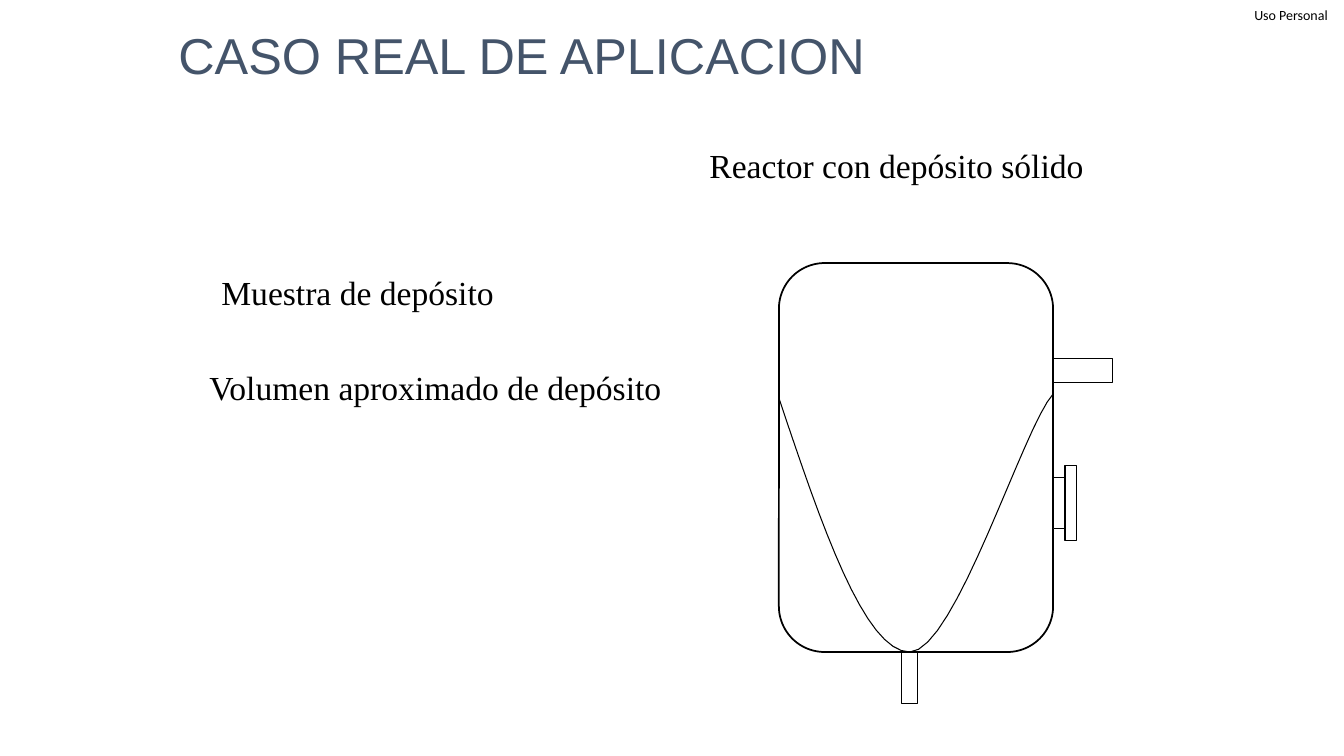
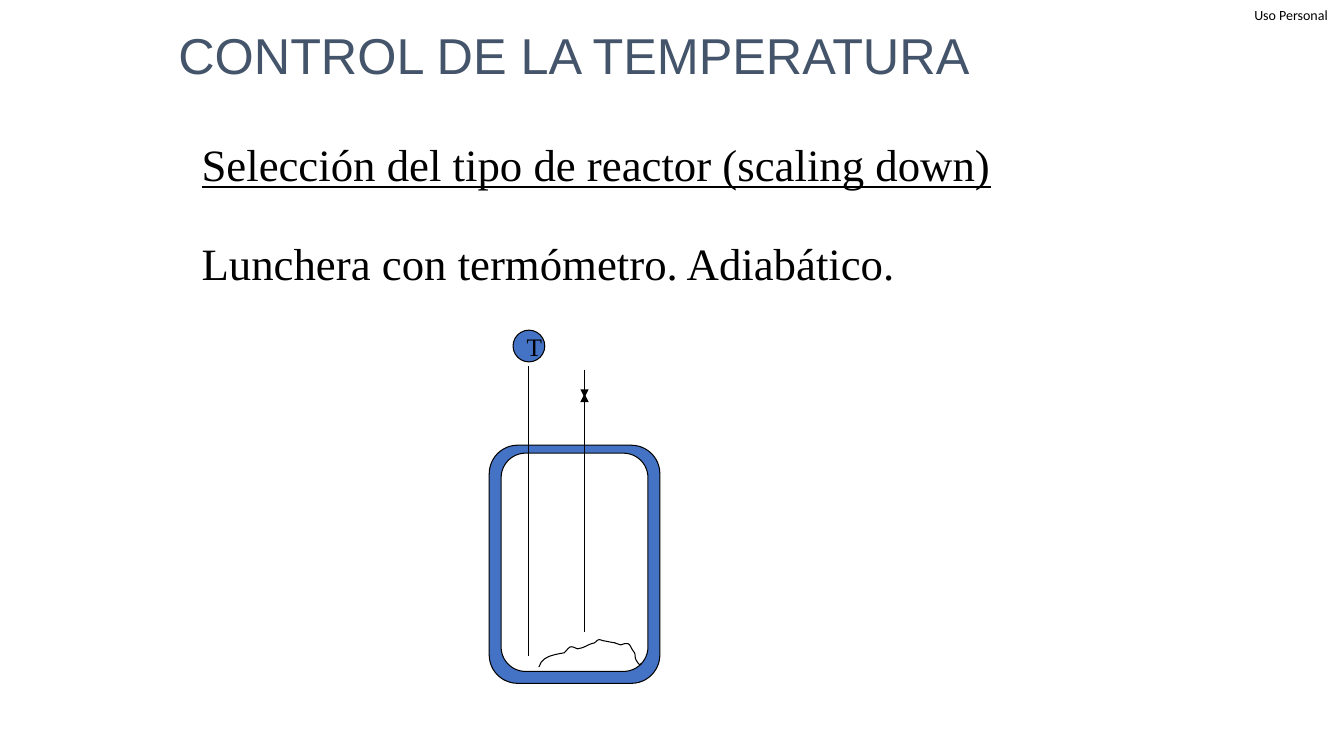
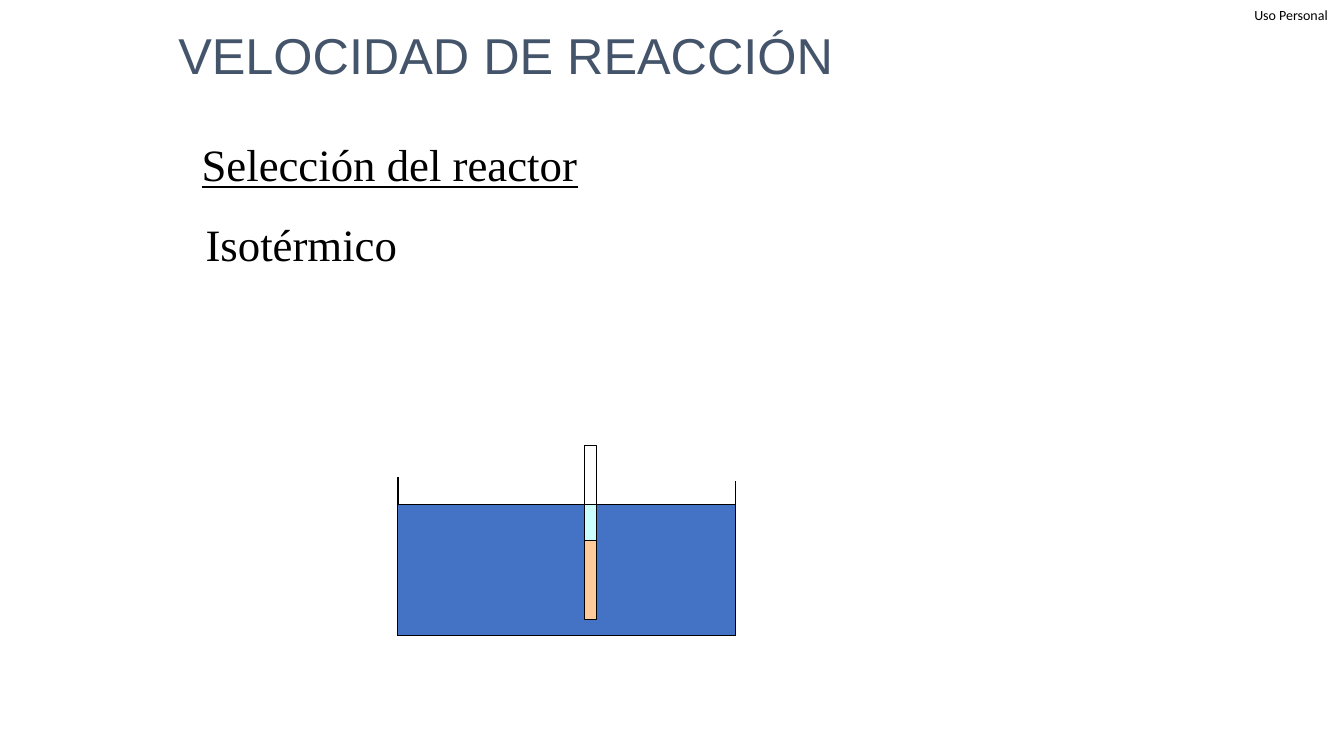
from dataclasses import dataclass

from lxml.etree import SubElement
from pptx import Presentation
from pptx.dml.color import RGBColor
from pptx.enum.shapes import MSO_CONNECTOR, MSO_SHAPE
from pptx.enum.text import MSO_ANCHOR, MSO_AUTO_SIZE, PP_ALIGN
from pptx.oxml.ns import qn
from pptx.util import Cm, Pt


@dataclass(frozen=True)
class Theme:
    title_color: str = "44546A"
    ink: str = "000000"
    paper: str = "FFFFFF"
    blue: str = "4472C4"
    sample: str = "FFCC99"
    liquid: str = "CCFFFF"
    title_font: str = "Arial"
    body_font: str = "Times New Roman"
    tag_font: str = "Calibri"
    title_size: int = 36
    heading_size: int = 32
    label_size: int = 24
    symbol_size: int = 18
    tag_size: int = 10
    line: float = 0.75
    wall: float = 1.25


T = Theme()
RECT = MSO_SHAPE.RECTANGLE
VESSEL = MSO_SHAPE.FLOWCHART_ALTERNATE_PROCESS


# Basic parts, all lengths in centimetres
def set_font(p, name, size, color=T.ink, underline=None):
    p.font.name = name
    p.font.size = Pt(size)
    p.font.color.rgb = RGBColor.from_string(color)
    p.font.underline = underline


def set_line(sp, width=T.line):
    sp.line.color.rgb = RGBColor.from_string(T.ink)
    sp.line.width = Pt(width)


def add_text(slide, x, y, w, h, text, size, font=T.body_font, underline=None):
    sp = slide.shapes.add_textbox(Cm(x), Cm(y), Cm(w), Cm(h))
    tf = sp.text_frame
    tf.word_wrap = True
    p = tf.paragraphs[0]
    p.text = text
    set_font(p, font, size, underline=underline)
    return sp


def add_box(slide, kind, x, y, w, h, fill=T.paper, width=T.line):
    sp = slide.shapes.add_shape(kind, Cm(x), Cm(y), Cm(w), Cm(h))
    sp.shadow.inherit = False
    sp.fill.solid()
    sp.fill.fore_color.rgb = RGBColor.from_string(fill)
    set_line(sp, width)
    return sp


def add_line(slide, x1, y1, x2, y2, arrow=False):
    cxn = slide.shapes.add_connector(
        MSO_CONNECTOR.STRAIGHT, Cm(x1), Cm(y1), Cm(x2), Cm(y2))
    set_line(cxn)
    if arrow:
        SubElement(cxn.line._get_or_add_ln(), qn("a:tailEnd"), type="triangle")
    SubElement(cxn._element.spPr, qn("a:effectLst"))


def add_curve(slide, x, y, start, segments, steps=16):
    """Draw cubic Bezier segments, with points relative to (x, y)."""
    points, p0 = [start], start
    for p1, p2, p3 in segments:
        for i in range(1, steps + 1):
            t = i / steps
            u = 1 - t
            points.append(tuple(
                u**3 * a + 3 * u * u * t * b + 3 * u * t * t * c + t**3 * d
                for a, b, c, d in zip(p0, p1, p2, p3)))
        p0 = p3
    places = [(Cm(x + px), Cm(y + py)) for px, py in points]
    builder = slide.shapes.build_freeform(*places[0])
    builder.add_line_segments(places[1:], close=False)
    sp = builder.convert_to_shape()
    sp.shadow.inherit = False
    sp.fill.background()
    set_line(sp)


# Shared frame
def setup_layout(prs):
    layout = prs.slide_layouts[5]
    title = layout.placeholders[0]
    title.left, title.top, title.width, title.height = (
        Cm(4.24), Cm(0), Cm(25.4), Cm(2.72))
    return layout


def add_master_tag(prs, slide):
    sp = add_text(slide, 31.22, 0, 2.64, 0.74, "Uso Personal",
                  T.tag_size, T.tag_font)
    tf = sp.text_frame
    tf.word_wrap = False
    tf.vertical_anchor = MSO_ANCHOR.MIDDLE
    tf.margin_left = tf.margin_top = tf.margin_bottom = 0
    tf.margin_right = Cm(0.4)
    tf.paragraphs[0].alignment = PP_ALIGN.RIGHT
    sp._element.nvSpPr.cNvPr.set("id", "20")
    prs.slide_master.shapes._spTree.append(sp._element)


def add_slide(prs, layout, title):
    slide = prs.slides.add_slide(layout)
    tf = slide.shapes.title.text_frame
    tf.auto_size = MSO_AUTO_SIZE.NONE
    tf.vertical_anchor = MSO_ANCHOR.MIDDLE
    p = tf.paragraphs[0]
    p.text = title
    p.alignment = PP_ALIGN.LEFT
    set_font(p, T.title_font, T.title_size, T.title_color)
    return slide


def add_heading(slide, text):
    add_text(slide, 4.83, 3.33, 20.8, 1.6, text, T.heading_size, underline=True)


# Drawings
def draw_reactor(slide, x, y, w, h):
    add_box(slide, VESSEL, x, y, w, h, width=T.wall)
    right, bottom = x + w, y + h
    # Side nozzle and drain
    add_box(slide, RECT, right, y + 2.4, 1.5, 0.6)
    add_box(slide, RECT, x + 3.1, bottom, 0.4, 1.3)
    # Solid deposit
    add_curve(slide, x, y, (0, 3.4), [
        ((1.07, 6.6), (2.16, h), (3.3, h)),
        ((4.44, 9.78), (6.17, 4.1), (w, 3.3)),
    ])
    # Manhole: neck and flange
    add_box(slide, RECT, right, y + 5.4, 0.3, 1.3)
    add_box(slide, RECT, right + 0.3, y + 5.1, 0.3, 1.9)


def draw_flask(slide, x, y, w, h):
    # Jacket and inner vessel
    add_box(slide, VESSEL, x, y, w, h, T.blue)
    add_box(slide, VESSEL, x + 0.3, y + 0.2, w - 0.6, h - 0.5)
    # Probe and feed line with valve
    probe, feed = x + 1, x + 2.4
    add_line(slide, probe, y - 2, probe, y + 5.3)
    add_line(slide, feed, y + 4.7, feed, y - 1.3, arrow=True)
    add_line(slide, feed, y - 1.9, feed, y - 1.2, arrow=True)
    # Thermometer
    add_box(slide, MSO_SHAPE.OVAL, probe - 0.4, y - 2.9, 0.8, 0.8, T.blue)
    add_text(slide, probe - 0.31, y - 3, 1.2, 1, "T", T.symbol_size)
    # Powder
    add_curve(slide, x + 1.25, y + 4.9, (0, 0.69), [
        ((0.08, 0.41), (0.38, 0.38), (0.64, 0.33)),
        ((0.79, 0.18), (0.76, 0.13), (0.97, 0.23)),
        ((1.19, 0.2), (1.19, 0.13), (1.4, 0.08)),
        ((1.45, 0.05), (1.47, 0), (1.52, 0)),
        ((1.57, 0), (1.6, 0.03), (1.65, 0.03)),
        ((2.24, 0.15), (1.63, 0), (2.06, 0.13)),
        ((2.34, 0.03), (2.26, 0.15), (2.41, 0.33)),
        ((2.44, 0.38), (2.41, 0.46), (2.46, 0.53)),
        ((2.59, 0.76), (2.57, 0.51), (2.57, 0.64)),
    ], steps=6)


def draw_bath(slide, x, y, w, h):
    right, bottom, level = x + w, y + h, y + 0.7
    # Walls, floor and water
    add_line(slide, x, y, x, bottom)
    add_line(slide, x, bottom, right, bottom)
    add_line(slide, right, bottom, right, y + 0.1)
    add_box(slide, RECT, x, level, w, bottom - level, T.blue)
    # Test tube with its two layers
    for top, height, fill in ((-0.8, 4.1, T.paper), (1.6, 2, T.sample),
                              (0.7, 0.9, T.liquid)):
        add_box(slide, RECT, x + 4.7, y + top, 0.3, height, fill)


# Slides
def real_case(slide):
    draw_reactor(slide, 19.63, 6.63, 6.91, 9.8)
    for x, y, w, text in (
            (17.63, 3.53, 11.3, "Reactor con depósito sólido"),
            (5.33, 6.73, 11.3, "Muestra de depósito"),
            (5.03, 9.12, 13.6, "Volumen aproximado de depósito")):
        add_text(slide, x, y, w, 1.27, text, T.label_size)


def temperature_control(slide):
    add_heading(slide, "Selección del tipo de reactor (scaling down)")
    add_text(slide, 4.83, 5.82, 23.4, 1.6,
             "Lunchera con termómetro. Adiabático.", T.heading_size)
    draw_flask(slide, 12.33, 11.22, 4.3, 6)


def reaction_rate(slide):
    add_heading(slide, "Selección del reactor")
    add_text(slide, 4.93, 5.33, 23.2, 1.6, "Isotérmico", T.heading_size)
    draw_bath(slide, 10.03, 12.02, 8.5, 4)


def main():
    prs = Presentation()
    prs.slide_width, prs.slide_height = Cm(33.87), Cm(19.05)
    layout = setup_layout(prs)
    for title, fill_slide in (
            ("CASO REAL DE APLICACION", real_case),
            ("CONTROL DE LA TEMPERATURA", temperature_control),
            ("VELOCIDAD DE REACCIÓN", reaction_rate)):
        fill_slide(add_slide(prs, layout, title))
    add_master_tag(prs, prs.slides[0])
    prs.save("out.pptx")


if __name__ == "__main__":
    main()
